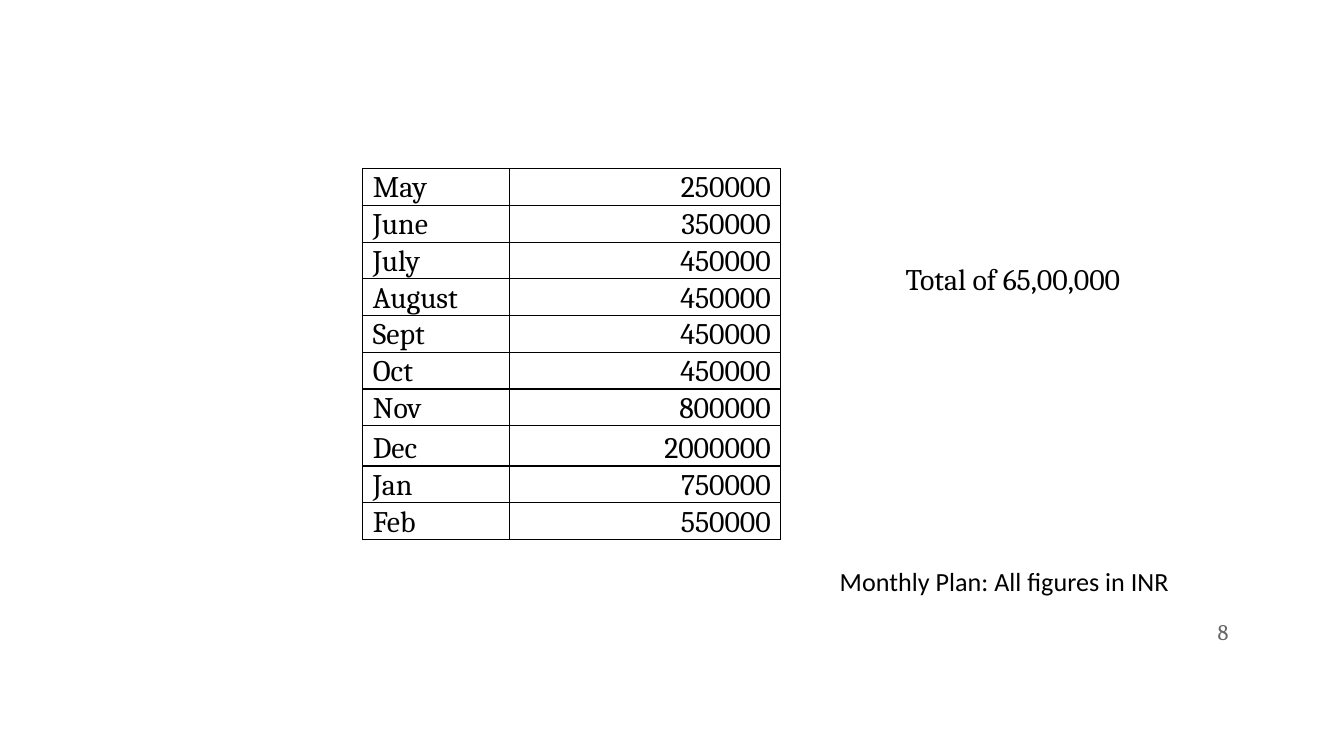
from dataclasses import dataclass

from lxml import etree
from pptx import Presentation
from pptx.dml.color import RGBColor
from pptx.enum.text import MSO_ANCHOR, MSO_AUTO_SIZE, PP_ALIGN
from pptx.oxml.ns import qn
from pptx.util import Emu, Pt

LEFT, RIGHT = PP_ALIGN.LEFT, PP_ALIGN.RIGHT
TOP, MIDDLE, BOTTOM = MSO_ANCHOR.TOP, MSO_ANCHOR.MIDDLE, MSO_ANCHOR.BOTTOM
GROW, FIXED = MSO_AUTO_SIZE.SHAPE_TO_FIT_TEXT, MSO_AUTO_SIZE.NONE
SCALE = 4572  # EMU in one px, at 200 px to the inch


@dataclass(frozen=True)
class Theme:
    ink: str = "000000"
    grey: str = "666666"
    serif: str = "Cambria"
    sans: str = "Calibri"
    body: int = 16
    note: int = 14
    small: int = 12
    rule: float = 0.75
    lead: float = 1.07


THEME = Theme()
PLAN = [
    ("May", 250000), ("June", 350000), ("July", 450000), ("August", 450000),
    ("Sept", 450000), ("Oct", 450000), ("Nov", 800000), ("Dec", 2000000),
    ("Jan", 750000), ("Feb", 550000),
]


def px(n):
    return Emu(n * SCALE)


def apply(obj, values):
    for name, value in values.items():
        setattr(obj, name, value)


def write(para, text, size, face=THEME.serif, color=THEME.ink, **form):
    apply(para, form)
    run = para.add_run()
    run.text = text
    apply(run.font, {"size": Pt(size), "name": face})
    run.font.color.rgb = RGBColor.from_string(color)


def label(slide, box, text, size, frame, **form):
    area = slide.shapes.add_textbox(*map(px, box)).text_frame
    apply(area, {"word_wrap": True, "auto_size": GROW, **frame})
    write(area.paragraphs[0], text, size, **form)


def border(cell):
    props = cell._tc.get_or_add_tcPr()
    for side in ("lnL", "lnR", "lnT", "lnB"):
        line = etree.SubElement(props, qn("a:" + side), w=str(Pt(THEME.rule)))
        fill = etree.SubElement(line, qn("a:solidFill"))
        etree.SubElement(fill, qn("a:srgbClr"), val=THEME.ink)


def plan_table(slide, box):
    left, top, width, height = box
    grid = slide.shapes.add_table(len(PLAN), 2, *map(px, box)).table
    apply(grid, {"first_row": False, "horz_banding": False})
    month = 218
    for col, wide in zip(grid.columns, (month, width - month)):
        col.width = px(wide)
    # Equal rows; December takes what is left
    step = 52
    for row, (name, _) in zip(grid.rows, PLAN):
        row.height = px(height - step * (len(PLAN) - 1) if name == "Dec" else step)
    # Months to the left, amounts to the right
    for r, entry in enumerate(PLAN):
        for c, (value, align) in enumerate(zip(entry, (LEFT, RIGHT))):
            cell = grid.cell(r, c)
            apply(cell, {"margin_left": px(15), "margin_right": px(15),
                         "margin_top": 0, "margin_bottom": 0,
                         "vertical_anchor": BOTTOM})
            border(cell)
            cell.fill.background()
            write(cell.text_frame.paragraphs[0], str(value), THEME.body,
                  alignment=align, line_spacing=THEME.lead)


def notes(slide, box):
    left, top, width, height = box
    # Unit note at the foot of the region
    foot = 68
    label(slide, (left, top + height - foot, width, foot),
          "Monthly Plan: All figures in INR", THEME.note,
          {"word_wrap": False, "vertical_anchor": MIDDLE}, face=THEME.sans)
    # Total at its head
    label(slide, (left + 98, top, 400, 74), "Total of 65,00,000", THEME.body,
          {"vertical_anchor": TOP})


def number(slide, box):
    pads = {"margin_" + side: px(20) for side in ("left", "right", "top", "bottom")}
    label(slide, box, "8", THEME.small,
          {"auto_size": FIXED, "vertical_anchor": MIDDLE, **pads},
          color=THEME.grey, alignment=RIGHT)


def main():
    deck = Presentation()
    apply(deck, {"slide_width": px(2000), "slide_height": px(1125)})
    slide = deck.slides.add_slide(deck.slide_layouts[6])
    number(slide, (1728, 897, 120, 86))
    plan_table(slide, (540, 251, 622, 528))
    notes(slide, (1230, 378, 568, 520))
    deck.save("out.pptx")


if __name__ == "__main__":
    main()
